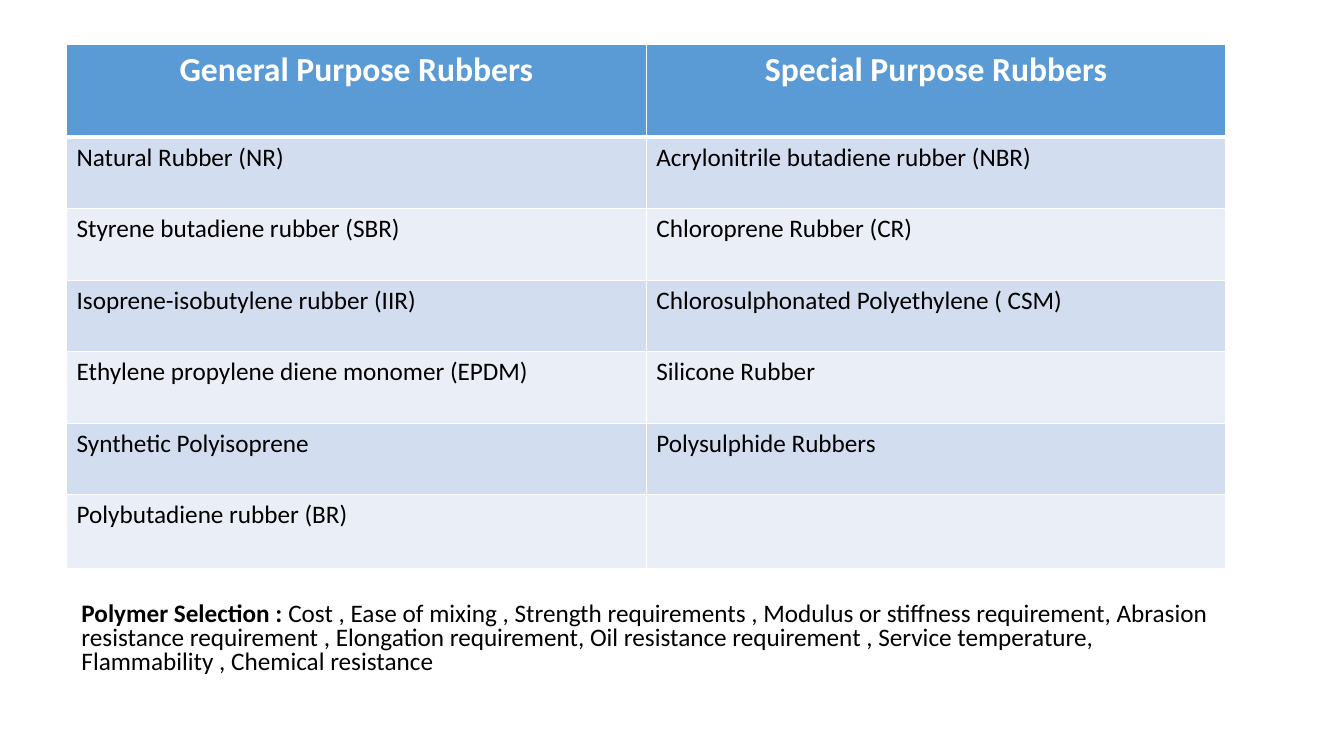
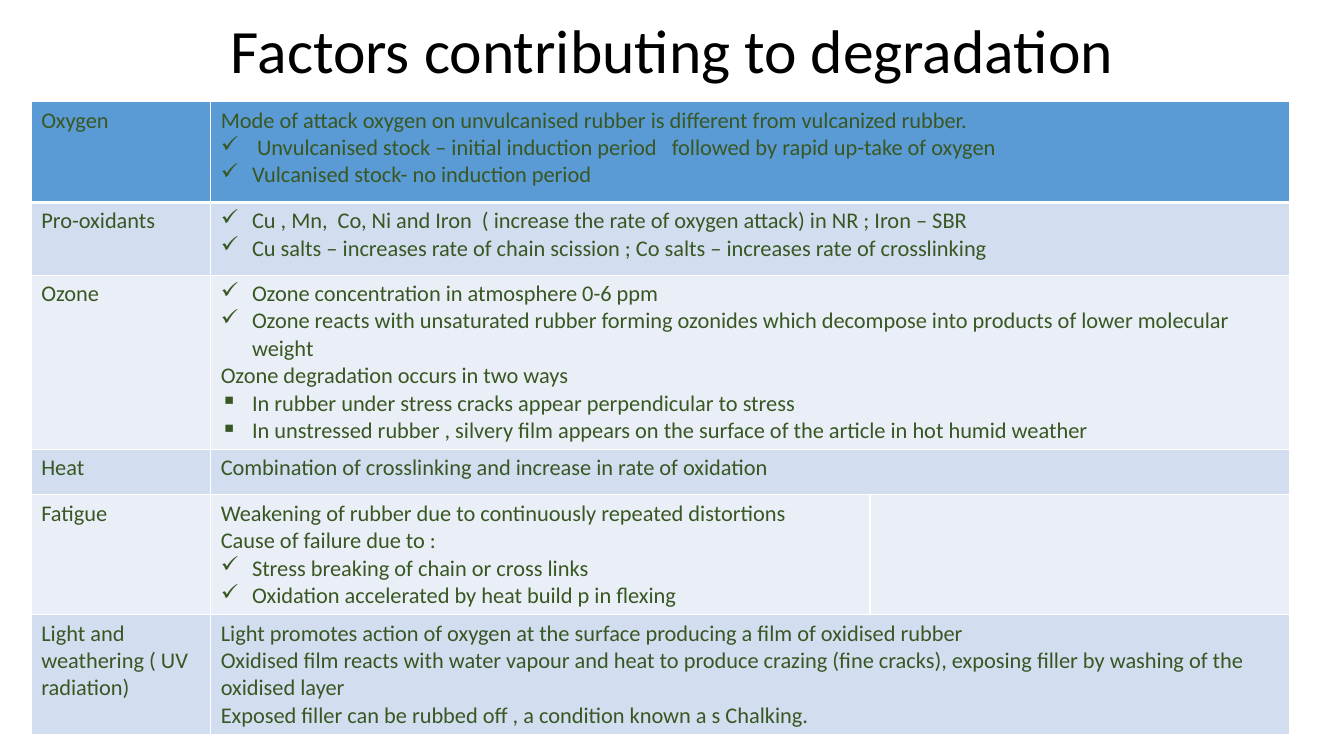
from lxml import etree
from pptx import Presentation
from pptx.dml.color import RGBColor
from pptx.enum.text import MSO_ANCHOR, PP_ALIGN
from pptx.oxml.ns import qn
from pptx.util import Inches, Pt

COLORS = {
    "header": "5B9BD5",
    "band_dark": "D2DEEF",
    "band_light": "EAEFF7",
    "border": "FFFFFF",
    "header_text": "FFFFFF",
    "text": "000000",
    "factor_text": "385723",
}
FONT = "Calibri"
BULLETS = ("✓", "▪")


class SlideWriter:
    """Holds the shared style and the slide being filled."""

    def __init__(self, deck):
        self.deck = deck
        self.slide = None

    def new_slide(self):
        self.slide = self.deck.slides.add_slide(self.deck.slide_layouts[6])

    def style(self, para, size, color, bold=False, align=PP_ALIGN.LEFT):
        para.alignment = align
        para.font.name = FONT
        para.font.size = Pt(size)
        para.font.bold = bold
        para.font.color.rgb = RGBColor.from_string(COLORS[color])

    def text_box(self, left, top, width, height, anchor=MSO_ANCHOR.TOP):
        box = self.slide.shapes.add_textbox(
            Inches(left), Inches(top), Inches(width), Inches(height))
        frame = box.text_frame
        frame.word_wrap = True
        frame.vertical_anchor = anchor
        return frame.paragraphs[0]

    def title(self, text):
        para = self.text_box(0.92, 0.13, 11.5, 0.81, MSO_ANCHOR.MIDDLE)
        para.text = text
        para.line_spacing = 0.9
        self.style(para, 44, "text", align=PP_ALIGN.CENTER)

    def labelled_note(self, label, text, left, top, width, height):
        para = self.text_box(left, top, width, height)
        para.line_spacing = 0.8
        self.style(para, 18, "text")
        for words, bold in ((label, True), (text, False)):
            span = para.add_run()
            span.text = words
            span.font.bold = bold

    def bullet(self, para, symbol):
        properties = para._p.get_or_add_pPr()
        properties.set("marL", str(Inches(0.31)))
        properties.set("indent", str(-Inches(0.31)))
        etree.SubElement(properties, qn("a:buChar")).set("char", symbol)

    def borders(self, cell, is_header):
        properties = cell._tc.get_or_add_tcPr()
        for side in ("lnL", "lnR", "lnT", "lnB"):
            width = 3 if is_header and side == "lnB" else 1
            line = etree.SubElement(properties, qn(f"a:{side}"), w=str(Pt(width)))
            fill = etree.SubElement(line, qn("a:solidFill"))
            etree.SubElement(fill, qn("a:srgbClr"), val=COLORS["border"])

    def fill_cell(self, cell, text, row, text_style):
        self.borders(cell, row == 0)
        band = "header" if row == 0 else ("band_light", "band_dark")[row % 2]
        cell.fill.solid()
        cell.fill.fore_color.rgb = RGBColor.from_string(COLORS[band])
        for index, line in enumerate(text.split("\n")):
            frame = cell.text_frame
            para = frame.paragraphs[0] if index == 0 else frame.add_paragraph()
            if line.startswith(BULLETS):
                self.bullet(para, line[0])
                line = line[1:]
            para.text = line
            self.style(para, **text_style)

    def table(self, left, top, widths, heights, rows, body_style, header_style):
        table = self.slide.shapes.add_table(
            len(heights), len(widths), Inches(left), Inches(top),
            Inches(sum(widths)), Inches(sum(heights))).table
        table.first_row = table.horz_banding = False
        for column, width in zip(table.columns, widths):
            column.width = Inches(width)
        for line, height in zip(table.rows, heights):
            line.height = Inches(height)
        for row, texts in enumerate(rows):
            # A short row lets its last cell span the remaining columns
            if len(texts) < len(widths):
                table.cell(row, len(texts) - 1).merge(table.cell(row, len(widths) - 1))
            padded = list(texts) + [""] * (len(widths) - len(texts))
            for column, text in enumerate(padded):
                text_style = header_style if row == 0 else body_style
                self.fill_cell(table.cell(row, column), text, row, text_style)


RUBBERS = [
    ("General Purpose Rubbers", "Special Purpose Rubbers"),
    ("Natural Rubber (NR)", "Acrylonitrile butadiene rubber (NBR)"),
    ("Styrene butadiene rubber (SBR)", "Chloroprene Rubber (CR)"),
    ("Isoprene-isobutylene rubber (IIR)", "Chlorosulphonated Polyethylene ( CSM)"),
    ("Ethylene propylene diene monomer (EPDM)", "Silicone Rubber"),
    ("Synthetic Polyisoprene", "Polysulphide Rubbers"),
    ("Polybutadiene rubber (BR)", ""),
]

# A line that starts with a bullet symbol becomes a bulleted paragraph
FACTORS = [
    ("Oxygen",
     "Mode of attack oxygen on unvulcanised rubber is different from vulcanized rubber.\n"
     "✓ Unvulcanised stock – initial induction period   followed by rapid up-take of oxygen\n"
     "✓Vulcanised stock- no induction period"),
    ("Pro-oxidants",
     "✓Cu , Mn,  Co, Ni and Iron  ( increase the rate of oxygen attack) in NR ; Iron – SBR\n"
     "✓Cu salts – increases rate of chain scission ; Co salts – increases rate of crosslinking"),
    ("Ozone",
     "✓Ozone concentration in atmosphere 0-6 ppm\n"
     "✓Ozone reacts with unsaturated rubber forming ozonides which decompose into "
     "products of lower molecular weight\n"
     "Ozone degradation occurs in two ways\n"
     "▪In rubber under stress cracks appear perpendicular to stress\n"
     "▪In unstressed rubber , silvery film appears on the surface of the article "
     "in hot humid weather"),
    ("Heat", "Combination of crosslinking and increase in rate of oxidation"),
    ("Fatigue",
     "Weakening of rubber due to continuously repeated distortions\n"
     "Cause of failure due to :\n"
     "✓Stress breaking of chain or cross links\n"
     "✓Oxidation accelerated by heat build p in flexing",
     ""),
    ("Light and weathering ( UV radiation)",
     "Light promotes action of oxygen at the surface producing a film of oxidised rubber\n"
     "Oxidised film reacts with water vapour and heat to produce crazing (fine cracks), "
     "exposing filler by washing of the oxidised layer\n"
     "Exposed filler can be rubbed off , a condition known a s Chalking."),
]


def main():
    deck = Presentation()
    deck.slide_width, deck.slide_height = Inches(13.33), Inches(7.5)
    writer = SlideWriter(deck)

    # Rubber types and polymer selection
    writer.new_slide()
    writer.table(
        0.66, 0.44, [5.75] * 2, [0.92] + [0.71] * 5 + [0.73], RUBBERS,
        body_style={"size": 18, "color": "text"},
        header_style={"size": 24, "color": "header_text", "bold": True,
                      "align": PP_ALIGN.CENTER})
    writer.labelled_note(
        "Polymer Selection : ",
        "Cost , Ease of mixing , Strength requirements , Modulus or stiffness requirement, "
        "Abrasion resistance requirement , Elongation requirement, Oil resistance "
        "requirement , Service temperature, Flammability , Chemical resistance",
        0.71, 5.93, 11.49, 1.31)

    # Degradation factors
    writer.new_slide()
    writer.title("Factors contributing to degradation")
    factor_style = {"size": 16, "color": "factor_text"}
    writer.table(
        0.31, 1.01, [1.78, 6.54, 4.16], [1, 0.72, 1.73, 0.45, 1.19, 1.19], FACTORS,
        body_style=factor_style, header_style=factor_style)

    deck.save("out.pptx")


if __name__ == "__main__":
    main()
